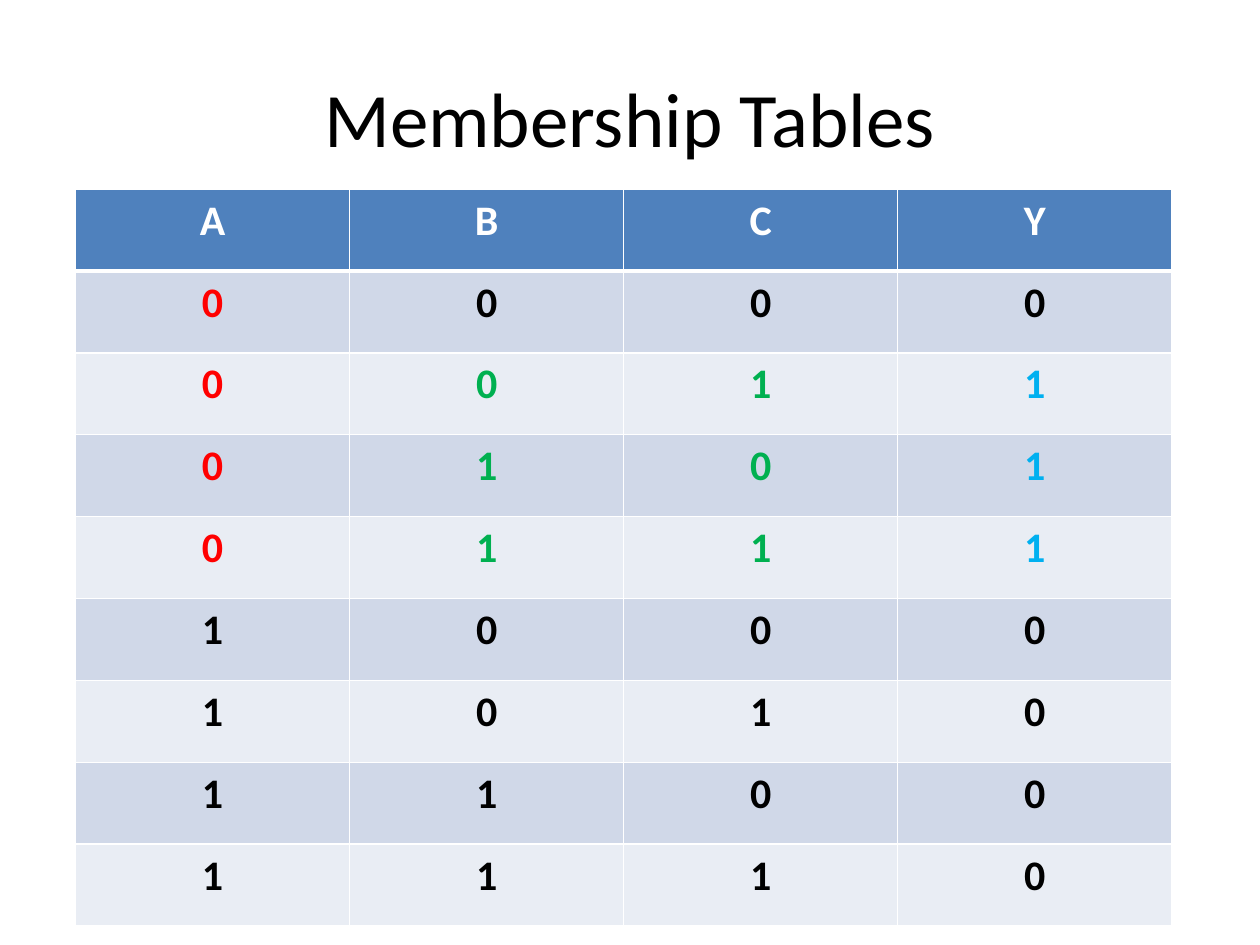
from itertools import product

from lxml.etree import SubElement
from pptx import Presentation
from pptx.dml.color import RGBColor
from pptx.enum.text import MSO_ANCHOR as Anchor, PP_ALIGN as Align
from pptx.oxml.ns import qn
from pptx.util import Inches, Pt

WIDTH, HEIGHT = 10, 7.5
WHITE, BLACK, RED, GREEN, CYAN = "FFFFFF", "000000", "FF0000", "00B050", "00B0F0"
HEADER_FILL, BANDS = "4F81BD", ("D0D8E8", "E9EDF4")


def rgb(value):
    """Turn a hex string into a colour."""
    return RGBColor.from_string(value)


def add_borders(cell, widths, color):
    """Draw cell borders; widths maps the sides L, R, T, B to points."""
    tc_pr = cell._tc.get_or_add_tcPr()
    for side, width in widths.items():
        ln = SubElement(tc_pr, qn(f"a:ln{side}"), w=str(Pt(width)))
        fill = SubElement(ln, qn("a:solidFill"))
        SubElement(fill, qn("a:srgbClr"), val=color)


def membership_rows():
    """Yield rows of (value, colour); Y holds where A is 0 and B or C is 1."""
    yield [(name, WHITE) for name in "ABCY"]
    for a, b, c in product((0, 1), repeat=3):
        y = int(not a and (b or c))
        pair = GREEN if y else BLACK
        yield [(a, BLACK if a else RED), (b, pair), (c, pair),
               (y, CYAN if y else BLACK)]


class Deck:
    """Holds the style and the current slide."""

    font = "Calibri"

    def __init__(self):
        """Start a presentation with one blank slide."""
        self.prs = Presentation()
        self.prs.slide_width, self.prs.slide_height = Inches(WIDTH), Inches(HEIGHT)
        self.slide = self.prs.slides.add_slide(self.prs.slide_layouts[6])

    def box(self, x, y, w, h):
        """Convert shares of the slide's size to lengths."""
        sizes = (WIDTH, HEIGHT, WIDTH, HEIGHT)
        return [Inches(share * size) for share, size in zip((x, y, w, h), sizes)]

    def set_text(self, tf, text, size, color, bold=False):
        """Put centred, formatted text in a text frame."""
        tf.text = text
        p = tf.paragraphs[0]
        p.alignment = Align.CENTER
        font = p.runs[0].font
        font.name, font.size, font.bold = self.font, Pt(size), bold
        font.color.rgb = rgb(color)

    def title(self, text, *shares):
        """Add the slide's heading."""
        tf = self.slide.shapes.add_textbox(*self.box(*shares)).text_frame
        tf.word_wrap = True
        tf.vertical_anchor = Anchor.MIDDLE
        self.set_text(tf, text, 44, BLACK)

    def table(self, rows, *shares):
        """Add an even table with a header and banded rows."""
        shape = self.slide.shapes.add_table(len(rows), len(rows[0]), *self.box(*shares))
        for i, row in enumerate(rows):
            widths = {"L": 1, "R": 1, "T": 3 if i == 1 else 1, "B": 1 if i else 3}
            for j, (value, color) in enumerate(row):
                cell = shape.table.cell(i, j)
                self.set_text(cell.text_frame, str(value), 24, color, bold=True)
                add_borders(cell, widths, WHITE)
                cell.fill.solid()
                cell.fill.fore_color.rgb = rgb(BANDS[(i - 1) % 2] if i else HEADER_FILL)


deck = Deck()
deck.title("Membership Tables", 0.05, 0.04, 0.9, 1 / 6)
deck.table(list(membership_rows()), 0.06, 0.2, 0.87, 0.78)
deck.prs.save("out.pptx")
